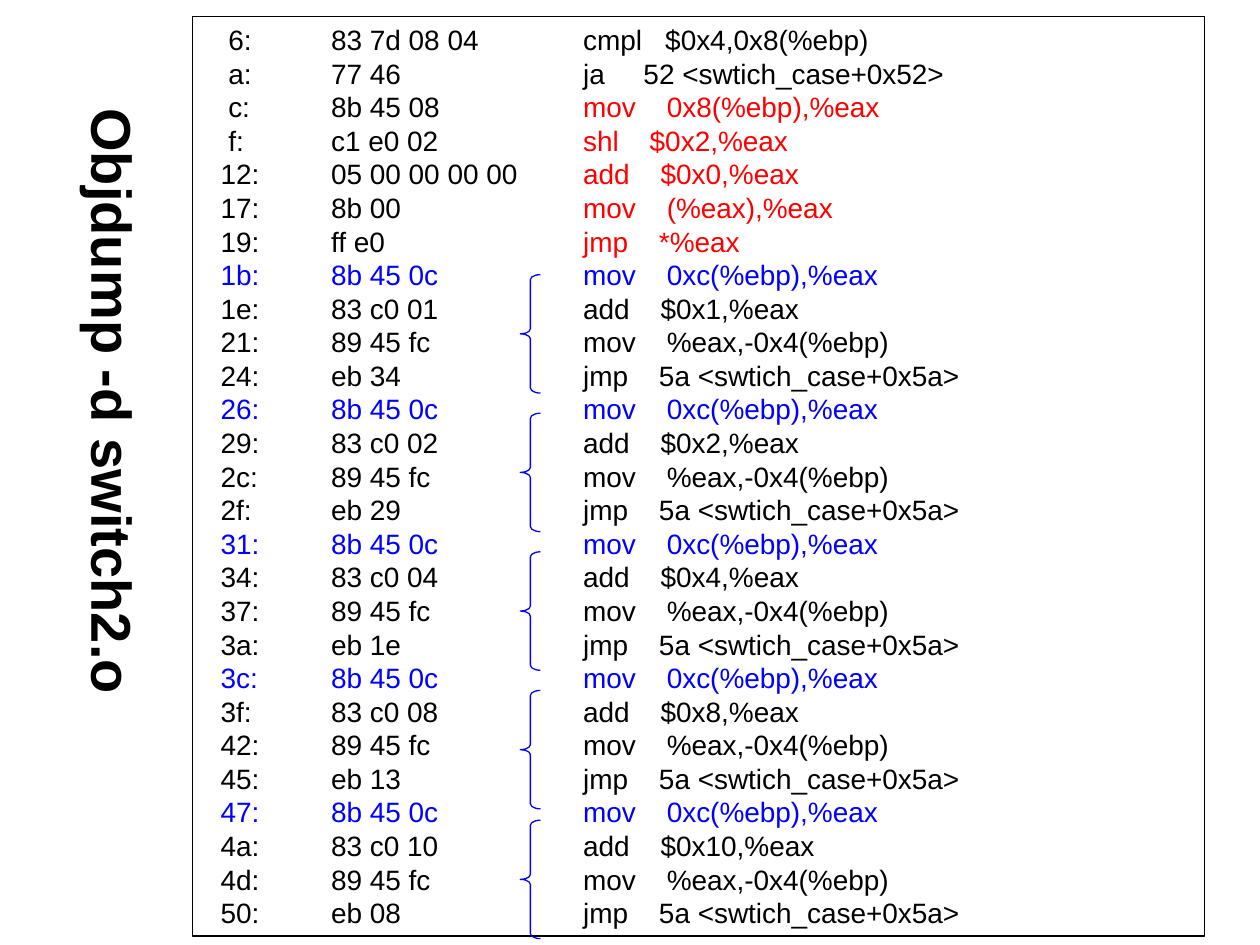
from dataclasses import dataclass

from lxml import etree
from pptx import Presentation
from pptx.dml.color import RGBColor
from pptx.enum.shapes import MSO_SHAPE
from pptx.enum.text import MSO_ANCHOR, PP_ALIGN
from pptx.oxml.ns import qn
from pptx.util import Inches, Pt

RECTANGLE, LEFT_BRACE = MSO_SHAPE.RECTANGLE, MSO_SHAPE.LEFT_BRACE
TOP = MSO_ANCHOR.TOP
LEFT, CENTER = PP_ALIGN.LEFT, PP_ALIGN.CENTER
SLIDE_W, SLIDE_H = Inches(10), Inches(7.5)


@dataclass(frozen=True)
class Theme:
    font: str = "Arial"
    text: RGBColor = RGBColor(0, 0, 0)
    dispatch: RGBColor = RGBColor(0xFF, 0, 0)
    case: RGBColor = RGBColor(0, 0, 0xFF)
    title_size: float = 32
    code_size: float = 16
    leading: float = 1.2
    line_width: float = 0.75


@dataclass(frozen=True)
class Area:
    """A rectangle in shares of the slide's width and height."""
    x: float
    y: float
    w: float
    h: float

    def emu(self) -> tuple[int, int, int, int]:
        return (round(self.x * SLIDE_W), round(self.y * SLIDE_H),
                round(self.w * SLIDE_W), round(self.h * SLIDE_H))


@dataclass(frozen=True)
class Instruction:
    address: int
    code: str
    mnemonic: str
    operands: str
    location_color: RGBColor
    color: RGBColor


THEME = Theme()
TITLE = Area(0.049, 0.76 / 7.5, 0.073, 5.04 / 7.5)
LISTING = Area(0.153, 0.13 / 7.5, 0.803, 7.3 / 7.5)
BRACE_TOPS = [2.18 + 1.1 * i for i in range(4)] + [6.51]
CODE_TABS = (1, 3)

# Bounds check and jump-table dispatch
DISPATCH = [
    (0x06, "83 7d 08 04", "cmpl", "$0x4,0x8(%ebp)", THEME.text),
    (0x0A, "77 46", "ja", "52 <swtich_case+0x52>", THEME.text),
    (0x0C, "8b 45 08", "mov", "0x8(%ebp),%eax", THEME.dispatch),
    (0x0F, "c1 e0 02", "shl", "$0x2,%eax", THEME.dispatch),
    (0x12, "05 00 00 00 00", "add", "$0x0,%eax", THEME.dispatch),
    (0x17, "8b 00", "mov", "(%eax),%eax", THEME.dispatch),
    (0x19, "ff e0", "jmp", "*%eax", THEME.dispatch),
]
FIRST_CASE, CASE_BYTES, SWITCH_END = 0x1B, 11, 0x5A
ADDENDS = (0x1, 0x2, 0x4, 0x8, 0x10)


def case_block(start: int, addend: int) -> list[Instruction]:
    """The four instructions of one case; the jump is relative to its end."""
    jump = SWITCH_END - (start + CASE_BYTES)
    black, blue = THEME.text, THEME.case
    return [
        Instruction(start, "8b 45 0c", "mov", "0xc(%ebp),%eax", blue, blue),
        Instruction(start + 3, f"83 c0 {addend:02x}", "add",
                    f"${addend:#x},%eax", black, black),
        Instruction(start + 6, "89 45 fc", "mov", "%eax,-0x4(%ebp)", black, black),
        Instruction(start + 9, f"eb {jump:02x}", "jmp",
                    f"{SWITCH_END:x} <swtich_case+{SWITCH_END:#x}>", black, black),
    ]


def write(paragraph, text: str, *, size: float, color: RGBColor = THEME.text,
          bold: bool = False, align: PP_ALIGN = LEFT) -> None:
    """Append one formatted run to a paragraph."""
    paragraph.alignment = align
    paragraph.line_spacing = Pt(size * THEME.leading)
    run = paragraph.add_run()
    run.text = text
    run.font.name = THEME.font
    run.font.size = Pt(size)
    run.font.bold = bold
    run.font.color.rgb = color


def set_tabs(paragraph, stops: tuple[float, ...]) -> None:
    tabs = etree.SubElement(paragraph._p.get_or_add_pPr(), qn("a:tabLst"))
    for stop in stops:
        etree.SubElement(tabs, qn("a:tab"), pos=str(Inches(stop)), algn="l")


def draw_outline(slide, kind: MSO_SHAPE, area: Area, color: RGBColor):
    shape = slide.shapes.add_shape(kind, *area.emu())
    shape.shadow.inherit = False
    shape.fill.background()
    shape.line.color.rgb = color
    shape.line.width = Pt(THEME.line_width)
    return shape


def draw_title(slide, text: str) -> None:
    frame = slide.shapes.add_textbox(*TITLE.emu()).text_frame
    frame.word_wrap = True
    frame.vertical_anchor = TOP
    frame.margin_left = frame.margin_right = Inches(0.05)
    frame.margin_top = frame.margin_bottom = Inches(0.1)
    frame._txBody.bodyPr.set("vert", "eaVert")
    write(frame.paragraphs[0], text, size=THEME.title_size, bold=True, align=CENTER)


def draw_listing(slide, instructions: list[Instruction]) -> None:
    frame = draw_outline(slide, RECTANGLE, LISTING, THEME.text).text_frame
    frame.word_wrap = True
    frame.vertical_anchor = TOP
    for row, item in enumerate(instructions):
        line = frame.add_paragraph() if row else frame.paragraphs[0]
        set_tabs(line, CODE_TABS)
        address = f"{item.address:x}:"
        write(line, f"{address:>5}\t{item.code}\t",
              size=THEME.code_size, color=item.location_color)
        write(line, f"{item.mnemonic:<7}{item.operands}",
              size=THEME.code_size, color=item.color)


def draw_brace(slide, top: float) -> None:
    area = Area(0.413, top / 7.5, 0.016, 0.94 / 7.5)
    brace = draw_outline(slide, LEFT_BRACE, area, THEME.case)
    brace.adjustments[0] = 0.25


def main() -> None:
    deck = Presentation()
    deck.slide_width, deck.slide_height = SLIDE_W, SLIDE_H
    slide = deck.slides.add_slide(deck.slide_layouts[6])

    # Disassembly: dispatch, then one block per case
    instructions = [Instruction(*parts, THEME.text, color)
                    for *parts, color in DISPATCH]
    for index, addend in enumerate(ADDENDS):
        instructions += case_block(FIRST_CASE + index * CASE_BYTES, addend)
    draw_listing(slide, instructions)

    # Vertical title
    draw_title(slide, "Objdump -d switch2.o")

    # One brace per case
    for top in BRACE_TOPS:
        draw_brace(slide, top)

    deck.save("out.pptx")


if __name__ == "__main__":
    main()
